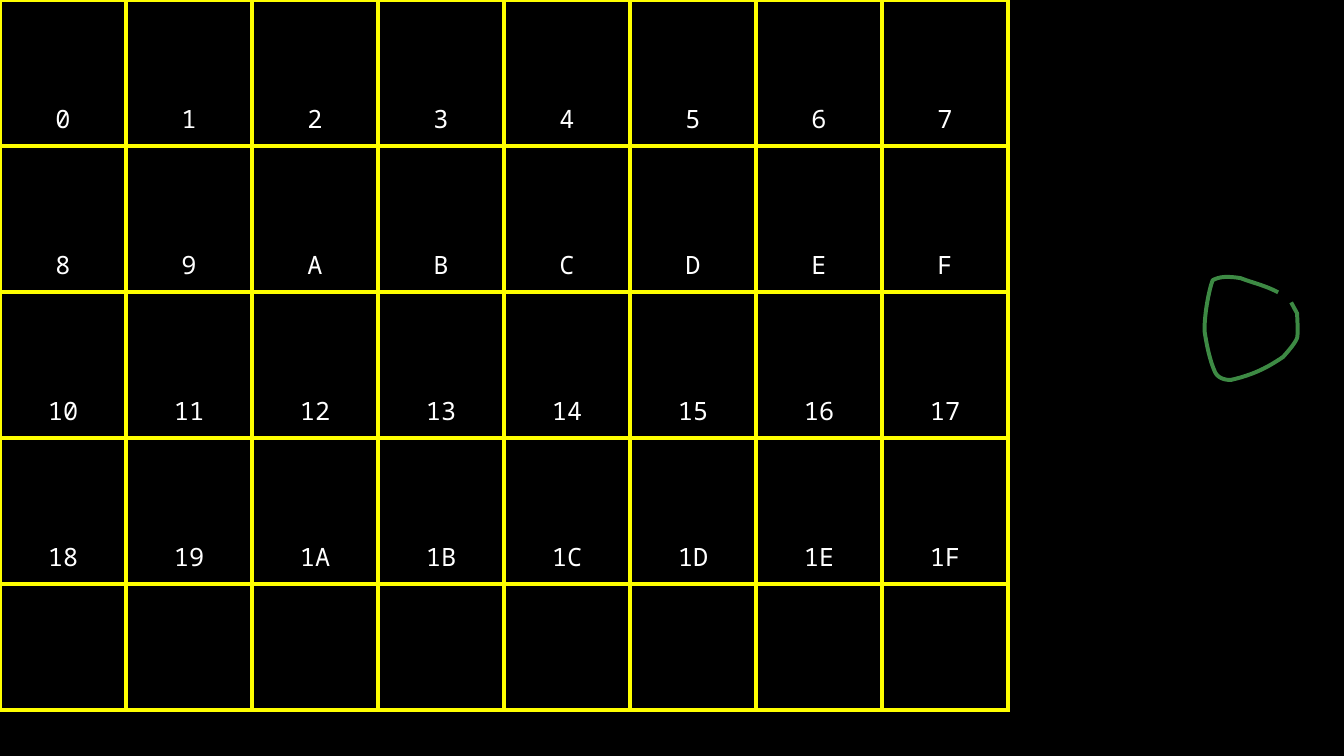
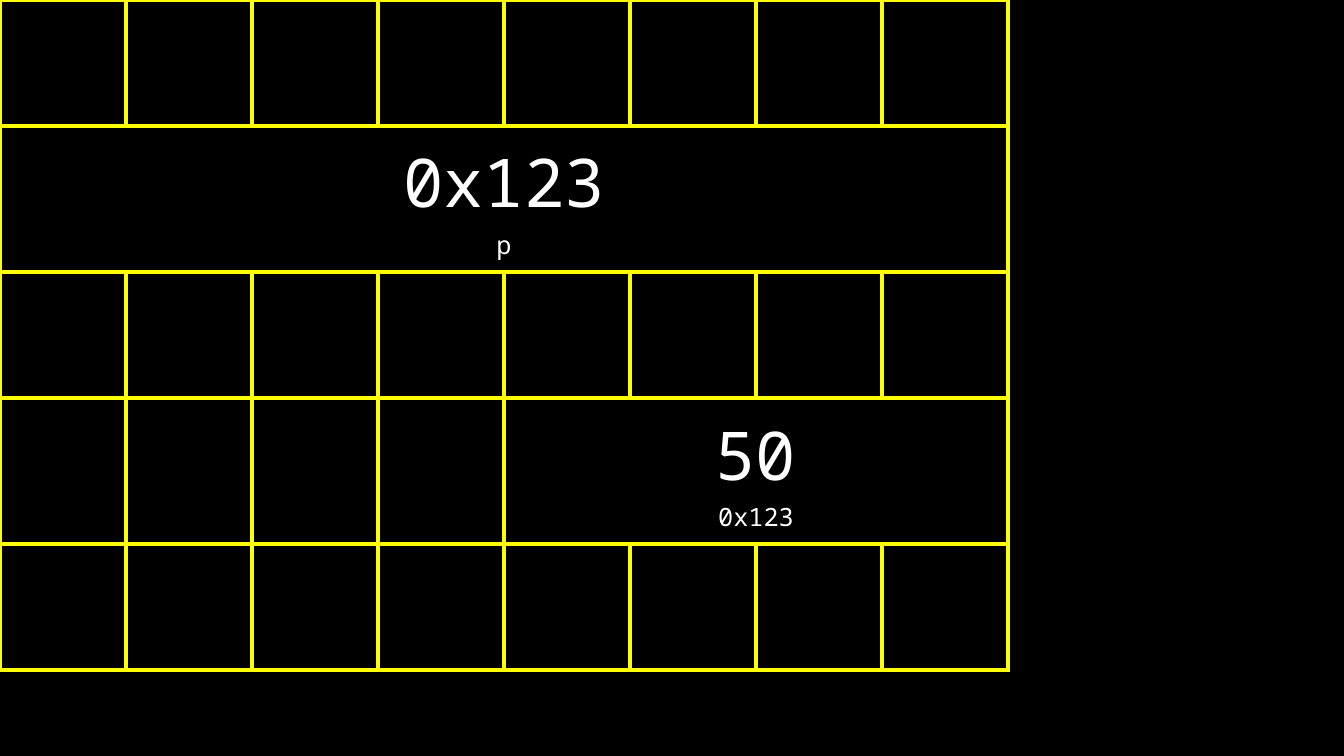
from lxml import etree
from pptx import Presentation
from pptx.dml.color import RGBColor
from pptx.enum.text import MSO_ANCHOR, PP_ALIGN
from pptx.oxml.ns import qn
from pptx.util import Pt

CENTER = PP_ALIGN.CENTER
TOP, BOTTOM = MSO_ANCHOR.TOP, MSO_ANCHOR.BOTTOM
BLANK = 6


class Theme:
    back = "000000"
    grid = "FFFF00"
    text = "FFFFFF"
    ink = "3D8A44"
    font = "Noto Sans Mono"
    big = 48
    small = 18
    border = 3
    stroke = 2.83
    inset = 7.2


WIDE, HIGH = 960, 540
COLS = 8
SIDE = 90
TALL = 104.3

BYTES = {
    "rows": [TALL] * 4 + [SIDE],
    "anchor": BOTTOM,
    "cells": [
        (n // COLS, n % COLS, 1, [(f"{n:X}", Theme.small)])
        for n in range(4 * COLS)
    ],
}
POINTER = {
    "rows": [SIDE, TALL, SIDE, TALL, SIDE],
    "anchor": TOP,
    "cells": [
        (1, 0, 8, [("0x123", Theme.big), ("p", Theme.small)]),
        (3, 4, 4, [("50", Theme.big), ("0x123", Theme.small)]),
    ],
}

START = (913, 208.8)
CURVES = [
    ((903.6, 203.8), (893.5, 201.6), (886.3, 198.7)),
    ((877.7, 197.3), (871.2, 197.3), (866.2, 200.2)),
    ((864, 205.9), (860.4, 222.5), (860.4, 236.2)),
    ((862.6, 251.3), (865.4, 259.9), (867.6, 265)),
    ((869, 268.6), (872.6, 271.4), (879.1, 271.4)),
    ((895, 267.8), (905, 262.8), (916.6, 254.9)),
    ((922.3, 248.4), (925.2, 244.8), (926.6, 241.2)),
    ((927.4, 236.2), (926.6, 229), (926.6, 223.9)),
]
END = (922.3, 216)
STEPS = 12


def color(code):
    return RGBColor.from_string(code)


def add_slide(deck):
    slide = deck.slides.add_slide(deck.slide_layouts[BLANK])
    fill = slide.background.fill
    fill.solid()
    fill.fore_color.rgb = color(Theme.back)
    return slide


def frame_cell(cell):
    props = cell._tc.get_or_add_tcPr()
    for side in ("lnL", "lnR", "lnT", "lnB"):
        line = etree.SubElement(props, qn(f"a:{side}"), w=str(Pt(Theme.border)))
        fill = etree.SubElement(line, qn("a:solidFill"))
        etree.SubElement(fill, qn("a:srgbClr"), val=Theme.grid)
    cell.fill.background()


def fill_cell(cell, lines, anchor):
    look = {"vertical_anchor": anchor}
    for side in ("left", "right", "top", "bottom"):
        look[f"margin_{side}"] = Pt(Theme.inset)
    for key, value in look.items():
        setattr(cell, key, value)
    frame = cell.text_frame
    for i, (text, size) in enumerate(lines):
        para = frame.add_paragraph() if i else frame.paragraphs[0]
        para.alignment = CENTER
        run = para.add_run()
        run.text = text
        for key, value in {"name": Theme.font, "size": Pt(size)}.items():
            setattr(run.font, key, value)
        run.font.color.rgb = color(Theme.text)


def add_grid(slide, data):
    rows = data["rows"]
    table = slide.shapes.add_table(
        len(rows), COLS, 0, 0, Pt(COLS * SIDE), Pt(sum(rows))
    ).table
    for key in ("first_row", "horz_banding"):
        setattr(table, key, False)
    for col in table.columns:
        col.width = Pt(SIDE)
    for row, height in zip(table.rows, rows):
        row.height = Pt(height)
    for cell in table.iter_cells():
        frame_cell(cell)
    for row, col, span, lines in data["cells"]:
        cell = table.cell(row, col)
        if span > 1:
            cell.merge(table.cell(row, col + span - 1))
        fill_cell(cell, lines, data["anchor"])


def bend(a, b, c, d, t):
    u = 1 - t
    return tuple(
        Pt(u**3 * p + 3 * u * u * t * q + 3 * u * t * t * r + t**3 * s)
        for p, q, r, s in zip(a, b, c, d)
    )


def add_loop(slide):
    points, last = [], START
    for curve in CURVES:
        points += [bend(last, *curve, i / STEPS) for i in range(1, STEPS + 1)]
        last = curve[-1]
    points.append(tuple(map(Pt, END)))
    pen = slide.shapes.build_freeform(*map(Pt, START))
    pen.add_line_segments(points, close=False)
    loop = pen.convert_to_shape()
    loop.shadow.inherit = False
    loop.fill.background()
    loop.line.color.rgb = color(Theme.ink)
    loop.line.width = Pt(Theme.stroke)


def main():
    deck = Presentation()
    deck.slide_width, deck.slide_height = Pt(WIDE), Pt(HIGH)
    first, second = add_slide(deck), add_slide(deck)
    add_grid(first, BYTES)
    add_loop(first)
    add_grid(second, POINTER)
    deck.save("out.pptx")


if __name__ == "__main__":
    main()
